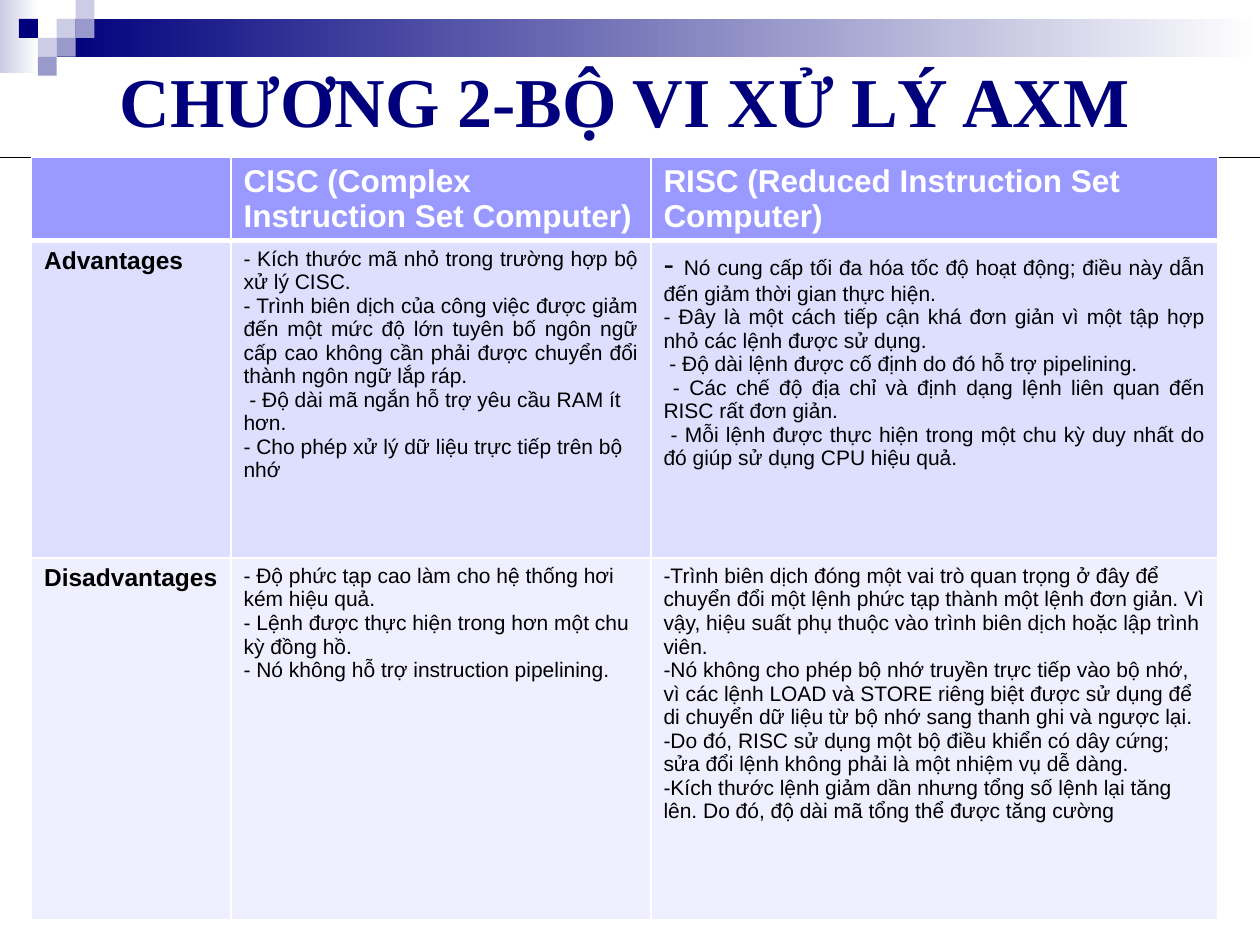
from dataclasses import dataclass

from lxml.etree import SubElement
from pptx import Presentation
from pptx.dml.color import RGBColor
from pptx.enum.shapes import MSO_CONNECTOR as Connector, MSO_SHAPE as Shape
from pptx.enum.text import MSO_ANCHOR as Anchor, PP_ALIGN as Align
from pptx.oxml.ns import qn
from pptx.util import Pt


@dataclass(frozen=True)
class Theme:
    navy: str = "00007D"
    pale: str = "CCCCE6"
    mid: str = "9999CC"
    white: str = "FFFFFF"
    black: str = "000000"
    header_fill: str = "9999FF"
    row_fills: tuple = ("DEDEFF", "EFEFFF")
    title_font: str = "Times New Roman"
    body_font: str = "Arial"
    title_size: int = 40
    header_size: int = 18
    label_size: int = 14
    body_size: int = 12


THEME = Theme()
WIDTH, HEIGHT = 720, 540


@dataclass(frozen=True)
class Item:
    text: str
    justified: bool = False
    lead: str = ""  # opening characters set at header size


HEADERS = ("", "CISC (Complex Instruction Set Computer)",
           "RISC (Reduced Instruction Set Computer)")
ROWS = (
    ("Advantages", (
        Item("- Kích thước mã nhỏ trong trường hợp bộ xử lý CISC.", True),
        Item("- Trình biên dịch của công việc được giảm đến một mức độ lớn tuyên bố ngôn ngữ "
             "cấp cao không cần phải được chuyển đổi thành ngôn ngữ lắp ráp.", True),
        Item(" - Độ dài mã ngắn hỗ trợ yêu cầu RAM ít hơn."),
        Item("- Cho phép xử lý dữ liệu trực tiếp trên bộ nhớ"),
    ), (
        Item("Nó cung cấp tối đa hóa tốc độ hoạt động; điều này dẫn đến giảm thời gian "
             "thực hiện.", True, lead="- "),
        Item("- Đây là một cách tiếp cận khá đơn giản vì một tập hợp nhỏ các lệnh "
             "được sử dụng.", True),
        Item(" - Độ dài lệnh được cố định do đó hỗ trợ pipelining.", True),
        Item(" - Các chế độ địa chỉ và định dạng lệnh liên quan đến RISC rất đơn giản.", True),
        Item(" - Mỗi lệnh được thực hiện trong một chu kỳ duy nhất do đó giúp sử dụng CPU "
             "hiệu quả.", True),
    )),
    ("Disadvantages", (
        Item("- Độ phức tạp cao làm cho hệ thống hơi kém hiệu quả."),
        Item("- Lệnh được thực hiện trong hơn một chu kỳ đồng hồ."),
        Item("- Nó không hỗ trợ instruction pipelining.", True),
    ), (
        Item("-Trình biên dịch đóng một vai trò quan trọng ở đây để chuyển đổi một lệnh phức "
             "tạp thành một lệnh đơn giản. Vì vậy, hiệu suất phụ thuộc vào trình biên dịch "
             "hoặc lập trình viên."),
        Item("-Nó không cho phép bộ nhớ truyền trực tiếp vào bộ nhớ, vì các lệnh LOAD và STORE "
             "riêng biệt được sử dụng để di chuyển dữ liệu từ bộ nhớ sang thanh ghi và ngược lại."),
        Item("-Do đó, RISC sử dụng một bộ điều khiển có dây cứng; sửa đổi lệnh không phải là "
             "một nhiệm vụ dễ dàng."),
        Item("-Kích thước lệnh giảm dần nhưng tổng số lệnh lại tăng lên. Do đó, độ dài mã tổng "
             "thể được tăng cường"),
    )),
)


def color(value):
    return RGBColor.from_string(value)


def add_text(paragraph, text, *, size, fill=THEME.black, font=THEME.body_font,
             bold=False, align=Align.LEFT):
    paragraph.alignment = align
    run = paragraph.add_run()
    run.text = text
    run.font.name, run.font.size, run.font.bold = font, Pt(size), bold
    run.font.color.rgb = color(fill)


def add_block(slide, box, *fills):
    """A rectangle in one colour, or fading from the first colour to the second."""
    shape = slide.shapes.add_shape(Shape.RECTANGLE, *map(Pt, box))
    shape.shadow.inherit = False
    shape.line.fill.background()
    if len(fills) == 1:
        shape.fill.solid()
        shape.fill.fore_color.rgb = color(fills[0])
        return
    shape.fill.gradient()
    shape.fill.gradient_angle = 0
    for stop, position, value in zip(shape.fill.gradient_stops, (0, 1), fills):
        stop.position = position
        stop.color.rgb = color(value)


def add_banner(slide, box):
    left, top, width, height = box
    unit = height / 4

    # Fading bands
    add_block(slide, (left, top, 22, 42), THEME.pale, THEME.white)
    add_block(slide, (left + 3 * unit, top + unit, width - 3 * unit, 2 * unit),
              THEME.navy, THEME.white)

    # Mosaic squares by column and row
    squares = ((3, 1, THEME.pale), (4, 0, THEME.pale), (4, 1, THEME.mid), (2, 2, THEME.pale),
               (1, 1, THEME.navy), (3, 2, THEME.mid), (2, 3, THEME.mid))
    for column, row, fill in squares:
        add_block(slide, (left + column * unit, top + row * unit, unit, unit), fill)


def add_title(slide, box):
    frame = slide.shapes.add_textbox(*map(Pt, box)).text_frame
    frame.word_wrap = True
    frame.vertical_anchor = Anchor.MIDDLE
    add_text(frame.paragraphs[0], "CHƯƠNG 2-BỘ VI XỬ LÝ AXM", size=THEME.title_size,
             fill=THEME.navy, font=THEME.title_font, bold=True, align=Align.CENTER)


def add_rule(slide, box):
    left, top, width, height = box
    line = slide.shapes.add_connector(Connector.STRAIGHT, Pt(left), Pt(top),
                                      Pt(left + width), Pt(top + height))
    line.line.color.rgb = color(THEME.black)
    line.line.width = Pt(0.75)
    SubElement(line.element.spPr, qn("a:effectLst"))


def style_cell(cell, fill, top=1, bottom=1):
    properties = cell._tc.get_or_add_tcPr()
    for side, width in (("L", 1), ("R", 1), ("T", top), ("B", bottom)):
        border = SubElement(properties, qn(f"a:ln{side}"), w=str(Pt(width)))
        SubElement(SubElement(border, qn("a:solidFill")), qn("a:srgbClr"), val=THEME.white)
    cell.fill.solid()
    cell.fill.fore_color.rgb = color(fill)


def add_items(frame, items):
    for index, item in enumerate(items):
        paragraph = frame.add_paragraph() if index else frame.paragraphs[0]
        align = Align.JUSTIFY if item.justified else Align.LEFT
        if item.lead:
            add_text(paragraph, item.lead, size=THEME.header_size, align=align)
        add_text(paragraph, item.text, size=THEME.body_size, align=align)


def add_comparison(slide, box):
    table = slide.shapes.add_table(len(ROWS) + 1, len(HEADERS), *map(Pt, box)).table
    for column, width in zip(table.columns, (114, 240, 324)):
        column.width = Pt(width)
    for row, height in zip(table.rows, (25.2, 181.4, 206.6)):
        row.height = Pt(height)

    # Header row
    for index, text in enumerate(HEADERS):
        cell = table.cell(0, index)
        style_cell(cell, THEME.header_fill, bottom=3)
        cell.margin_bottom = Pt(0.7)
        if text:
            add_text(cell.text_frame.paragraphs[0], text, size=THEME.header_size,
                     fill=THEME.white, bold=True)

    # Label and lists of each body row
    for row, ((label, *lists), fill) in enumerate(zip(ROWS, THEME.row_fills), start=1):
        for column in range(len(HEADERS)):
            style_cell(table.cell(row, column), fill, top=3 if row == 1 else 1)
        add_text(table.cell(row, 0).text_frame.paragraphs[0], label,
                 size=THEME.label_size, bold=True)
        for column, items in enumerate(lists, start=1):
            add_items(table.cell(row, column).text_frame, items)


def main():
    presentation = Presentation()
    presentation.slide_width, presentation.slide_height = Pt(WIDTH), Pt(HEIGHT)
    slide = presentation.slides.add_slide(presentation.slide_layouts[6])
    add_banner(slide, (0, 0, WIDTH, 43.2))
    add_title(slide, (30, 18, 654, 78))
    add_rule(slide, (0, 90, WIDTH, 0))
    add_comparison(slide, (18, 90, 678, 439))
    presentation.save("out.pptx")


if __name__ == "__main__":
    main()
